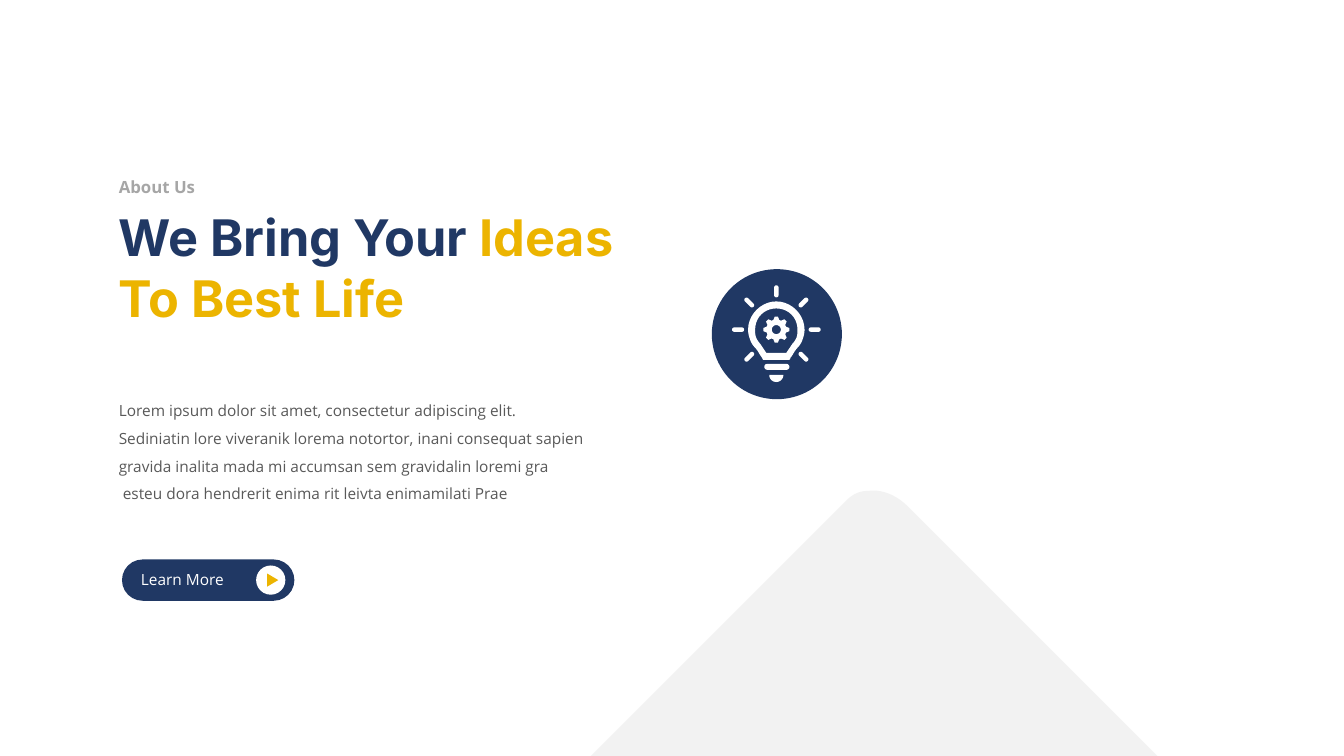
from math import cos, radians, sin

from pptx import Presentation
from pptx.dml.color import RGBColor
from pptx.enum.shapes import MSO_SHAPE as Preset
from pptx.enum.text import MSO_AUTO_SIZE as AutoSize
from pptx.util import Inches, Pt

NAVY, GOLD, WHITE = "203864", "ECB400", "FFFFFF"
HILL_GREY, LABEL_GREY, BODY_GREY = "F2F2F2", "A6A6A6", "595959"

# Each text: box, font, size, bold, wrap, line spacing, paragraphs of (words, colour)
TITLE = ((1.08, 2, 5.14, 1.31), "Inter", 36, True, True, None,
         [[("We Bring Your ", NAVY), ("Ideas To Best Life", GOLD)]])
LABEL = ((1.08, 1.7, 0.97, 0.3), "Open Sans", 12, True, False, None,
         [[("About Us", LABEL_GREY)]])
BODY = ((1.08, 3.84, 4.83, 1.18), "Open Sans", 11, False, True, 1.5, [
    [("Lorem ipsum dolor sit amet, consectetur adipiscing elit. Sediniatin lore "
      "viveranik lorema notortor, inani consequat sapien gravida inalita mada mi "
      "accumsan sem gravidalin loremi gra", BODY_GREY)],
    [(" esteu dora hendrerit enima rit leivta enimamilati Prae", BODY_GREY)],
])
BUTTON_LABEL = ((1.3, 5.61, 1.06, 0.29), "Open Sans", 11, False, False, None,
                [[("Learn More", WHITE)]])

# Outlines: a start point, then curves as (control, control, end)
HILL_TOP = ((8.4, 4.96), [((8.46, 4.9), (8.53, 4.87), (8.61, 4.87)),
                          ((8.74, 4.85), (8.89, 4.91), (9, 5.02))])
# Right halves of the bulb, measured from its centre
BULB_CENTRE = (7.7, 3.27)
GLASS_OUTER = ((0.13, 0.3), [
    ((0.13, 0.3), (0.14, 0.29), (0.14, 0.28)),
    ((0.16, 0.26), (0.18, 0.21), (0.21, 0.18)),
    ((0.23, 0.16), (0.25, 0.13), (0.26, 0.1)),
    ((0.27, 0.07), (0.28, 0.04), (0.28, 0)),
    ((0.28, -0.15), (0.15, -0.28), (0, -0.28)),
])
GLASS_INNER = ((0.1, 0.23), [
    ((0.12, 0.2), (0.14, 0.17), (0.16, 0.14)),
    ((0.18, 0.12), (0.19, 0.1), (0.2, 0.08)),
    ((0.21, 0.05), (0.21, 0.03), (0.21, 0)),
    ((0.21, -0.12), (0.12, -0.21), (0, -0.21)),
])
RAY_ANGLES = [angle for angle in range(0, 360, 45) if angle != 90]
RAY_DISTANCE, RAY_LENGTH, RAY_WIDTH = 0.38, 0.12, 0.045
GEAR_TEETH = 8
GEAR_PROFILE = [(-17, 0.1), (-7, 0.13), (7, 0.13), (17, 0.1)]
GEAR_HOLE = 0.045

prs = Presentation()
prs.slide_width, prs.slide_height = Inches(13.33), Inches(7.5)
shapes = prs.slides.add_slide(prs.slide_layouts[6]).shapes


def rgb(colour):
    return RGBColor.from_string(colour)


def paint(shape, colour):
    shape.shadow.inherit = False
    shape.fill.solid()
    shape.fill.fore_color.rgb = rgb(colour)
    shape.line.fill.background()


def add_preset(preset, box, colour, turn=0):
    shape = shapes.add_shape(preset, *map(Inches, box))
    paint(shape, colour)
    shape.rotation = turn
    if preset == Preset.ROUNDED_RECTANGLE:
        shape.adjustments[0] = 0.5


def add_outline(contours, colour):
    """Draw closed contours as one filled shape; inner ones become holes."""
    builder = None
    for contour in contours:
        first, *rest = [(Inches(x), Inches(y)) for x, y in contour]
        if builder is None:
            builder = shapes.build_freeform(*first)
        else:
            builder.move_to(*first)
        builder.add_line_segments(rest, close=True)
    paint(builder.convert_to_shape(), colour)


def trace(start, curves, steps=10):
    """Return points along a chain of cubic curves."""
    points = [start]
    for a, b, end in curves:
        origin = points[-1]
        for step in range(1, steps + 1):
            t = step / steps
            u = 1 - t
            points.append(tuple(
                u**3 * p + 3 * u * u * t * q + 3 * u * t * t * r + t**3 * s
                for p, q, r, s in zip(origin, a, b, end)))
    return points


def polar(angle, radius):
    return radius * cos(radians(angle)), radius * sin(radians(angle))


def on_bulb(points):
    return [(BULB_CENTRE[0] + x, BULB_CENTRE[1] + y) for x, y in points]


def mirrored(half):
    right = trace(*half)
    return on_bulb(right + [(-x, y) for x, y in reversed(right[:-1])])


def add_words(box, font, size, bold, wrap, spacing, paragraphs):
    frame = shapes.add_textbox(*map(Inches, box)).text_frame
    frame.word_wrap = wrap
    frame.auto_size = AutoSize.SHAPE_TO_FIT_TEXT
    for index, pieces in enumerate(paragraphs):
        paragraph = frame.add_paragraph() if index else frame.paragraphs[0]
        if spacing:
            paragraph.line_spacing = spacing
        for words, colour in pieces:
            run = paragraph.add_run()
            run.text = words
            run.font.name, run.font.size, run.font.bold = font, Pt(size), bold
            run.font.color.rgb = rgb(colour)


add_outline([trace(*HILL_TOP) + [(11.48, 7.5), (5.86, 7.5)]], HILL_GREY)

# Light bulb badge
add_preset(Preset.ROUNDED_RECTANGLE, (6.86, 2.47, 1.7, 1.7), WHITE)
add_preset(Preset.OVAL, (7.06, 2.67, 1.29, 1.29), NAVY)
gear = [polar(tooth * 360 / GEAR_TEETH + angle, radius)
        for tooth in range(GEAR_TEETH) for angle, radius in GEAR_PROFILE]
hole = [polar(angle, GEAR_HOLE) for angle in range(0, 360, 15)]
add_outline([on_bulb(gear), on_bulb(hole)], WHITE)
add_preset(Preset.ROUNDED_RECTANGLE, (7.58, 3.61, 0.25, 0.06), WHITE)
cap = [polar(angle, 0.07) for angle in range(0, 181, 10)]
add_outline([on_bulb((x, y + 0.45) for x, y in cap)], WHITE)
add_outline([mirrored(GLASS_OUTER), mirrored(GLASS_INNER)], WHITE)
for angle in RAY_ANGLES:
    (x, y), = on_bulb([polar(angle, RAY_DISTANCE)])
    add_preset(Preset.ROUNDED_RECTANGLE,
               (x - RAY_LENGTH / 2, y - RAY_WIDTH / 2, RAY_LENGTH, RAY_WIDTH),
               WHITE, angle)

for block in (TITLE, LABEL, BODY):
    add_words(*block)

# Learn More button
add_preset(Preset.ROUNDED_RECTANGLE, (1.21, 5.55, 1.71, 0.41), NAVY)
add_words(*BUTTON_LABEL)
add_preset(Preset.OVAL, (2.54, 5.61, 0.29, 0.29), WHITE)
add_preset(Preset.ISOSCELES_TRIANGLE, (2.64, 5.7, 0.13, 0.11), GOLD, 90)

prs.save("out.pptx")
